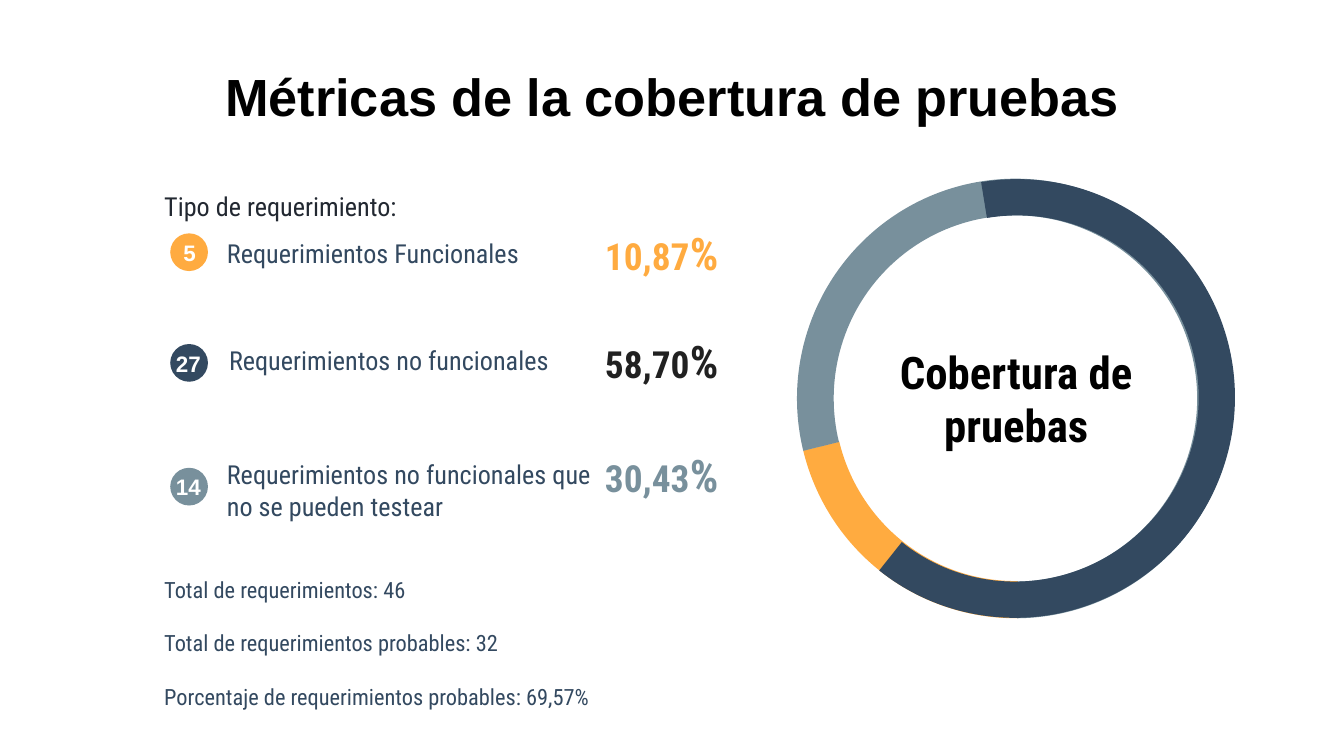
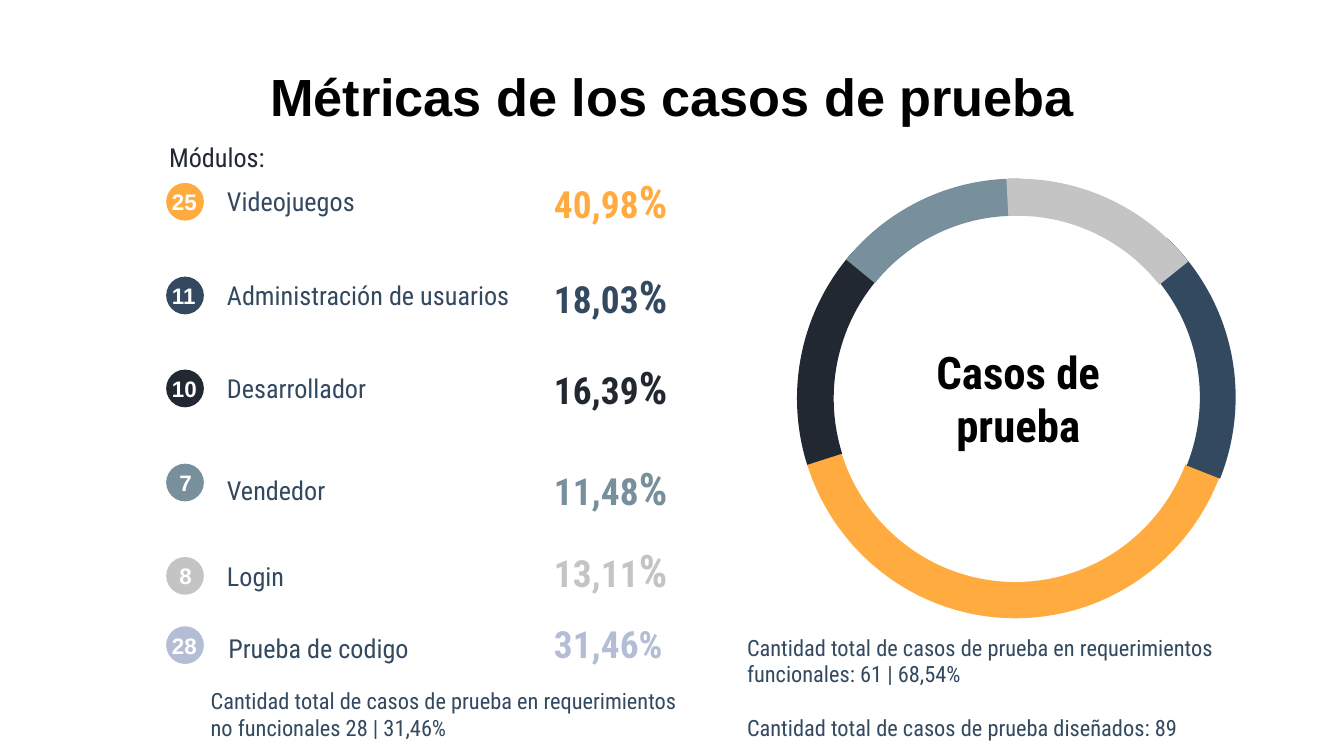
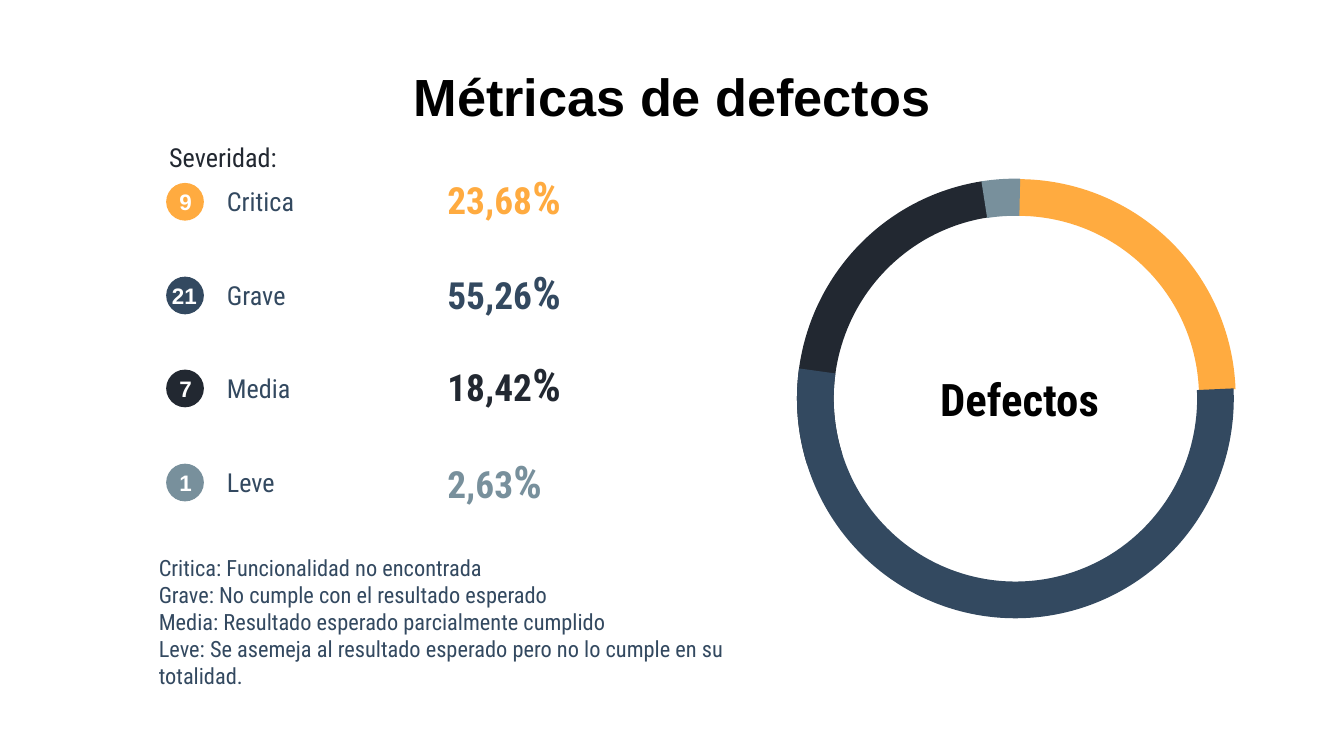
from dataclasses import dataclass

from pptx import Presentation
from pptx.dml.color import RGBColor
from pptx.enum.shapes import MSO_SHAPE as Preset
from pptx.enum.text import MSO_ANCHOR as Anchor, PP_ALIGN as Align
from pptx.util import Pt

# Shared style
BODY_FONT = "Roboto Condensed"
TITLE_FONT = "Arial"
ORANGE, NAVY, SLATE = "FFAB40", "334960", "78909C"
INK, CHARCOAL, SILVER, LAVENDER = "222831", "212121", "C4C4C4", "B3BDD5"
BLACK, WHITE = "000000", "FFFFFF"
INSET = 7.2
BADGE_SIZE = 20.2
SHARE_SIZE = (88, 20.5)
RING_TOP, RING_WIDTH, RING_HEIGHT = 96.5, 235.5, 234
CENTRE_SIZE = (155, 73.5)


@dataclass
class Entry:
    """One row: counted badge, label and percentage."""
    count: str
    label: str
    share: str
    colour: str
    badge_top: float
    label_top: float
    label_height: float
    share_top: float
    label_left: float = 114.5
    share_colour: str = ""
    sign_size: int = 24


@dataclass
class Arc:
    """One ring segment, with angles in degrees and thickness as a ratio."""
    colour: str
    start: float
    end: float
    thickness: float = 0.084
    rotation: float = 90
    left: float = 426.2


def paint(colour_format, colour):
    colour_format.rgb = RGBColor.from_string(colour)


def style(span, size, colour, bold=False, font=BODY_FONT):
    span.font.name = font
    span.font.size = Pt(size)
    span.font.bold = bold
    paint(span.font.color, colour)


def add_text(page, area, lines, size, colour, bold=False, font=BODY_FONT,
             align=Align.LEFT, anchor=Anchor.MIDDLE, margins=(INSET,) * 4, gap=0):
    box = page.shapes.add_textbox(*(Pt(length) for length in area))
    frame = box.text_frame
    frame.word_wrap = True
    frame.vertical_anchor = anchor
    (frame.margin_left, frame.margin_top,
     frame.margin_right, frame.margin_bottom) = (Pt(margin) for margin in margins)
    frame.text = "\n".join(lines)
    for index, para in enumerate(frame.paragraphs):
        para.alignment = align
        para.space_before = Pt(gap if index else 0)
        for span in para.runs:
            style(span, size, colour, bold, font)
    return box


def add_solid(page, preset, area, colour):
    shape = page.shapes.add_shape(preset, *(Pt(length) for length in area))
    shape.shadow.inherit = False
    shape.fill.solid()
    paint(shape.fill.fore_color, colour)
    shape.line.fill.background()
    return shape


def add_ring(page, arcs, caption, caption_left):
    for arc in arcs:
        area = (arc.left, RING_TOP, RING_WIDTH, RING_HEIGHT)
        segment = add_solid(page, Preset.BLOCK_ARC, area, arc.colour)
        segment.rotation = arc.rotation
        # Angles are stored in 60000ths of a degree, adjustments in 100000ths
        segment.adjustments[0] = arc.start * 0.6
        segment.adjustments[1] = arc.end * 0.6
        segment.adjustments[2] = arc.thickness
    add_text(page, (caption_left, 176.5, *CENTRE_SIZE), [caption], 24, BLACK,
             bold=True, align=Align.CENTER)


def add_badge(page, left, top, count, colour):
    add_solid(page, Preset.OVAL, (left, top, BADGE_SIZE, BADGE_SIZE), colour)
    shift, width = (4, 28) if len(count) > 1 else (0, 21)
    add_text(page, (left - shift, top - 0.5, width, 21.5), [count], 12, WHITE,
             bold=True, font=TITLE_FONT, anchor=Anchor.TOP,
             margins=(INSET, 3.6, 0, 3.6))


def add_share(page, left, entry):
    colour = entry.share_colour or entry.colour
    box = add_text(page, (left, entry.share_top, *SHARE_SIZE), [entry.share],
                   20, colour, bold=True)
    sign = box.text_frame.paragraphs[0].add_run()
    sign.text = "%"
    style(sign, entry.sign_size, colour, bold=True)


def add_entries(page, entries, badge_left, share_left):
    for entry in entries:
        add_badge(page, badge_left, entry.badge_top, entry.count, entry.colour)
        width = 210 if entry.label_height > 30 else 197.5
        add_text(page, (entry.label_left, entry.label_top, width, entry.label_height),
                 [entry.label], 14, NAVY)
        add_share(page, share_left, entry)


def add_page(deck, title, heading, heading_left, heading_top):
    page = deck.slides.add_slide(deck.slide_layouts[6])
    page.background.fill.solid()
    paint(page.background.fill.fore_color, WHITE)
    add_text(page, (39.6, 36, 640.8, 31), [title], 28, BLACK, bold=True,
             font=TITLE_FONT, align=Align.CENTER)
    add_text(page, (heading_left, heading_top, 197.5, 29.5), [heading], 14, INK)
    return page


def add_coverage(deck):
    page = add_page(deck, "Métricas de la cobertura de pruebas",
                    "Tipo de requerimiento:", 80.9, 95.8)
    add_ring(page, [
        Arc(ORANGE, 359.21, 76.21, 0.085),
        Arc(SLATE, 76.14, 359.56),
        Arc(NAVY, 316.42, 184.12, 0.083, 304.4, 426.6),
    ], "Cobertura de pruebas", 466.9)
    add_entries(page, [
        Entry("5", "Requerimientos Funcionales", "10,87", ORANGE,
              125, 121, 29.5, 125.3),
        Entry("27", "Requerimientos no funcionales", "58,70", NAVY,
              184.3, 183, 20, 182.9, label_left=115.6, share_colour=CHARCOAL),
        Entry("14", "Requerimientos no funcionales que no se pueden testear", "30,43",
              SLATE, 250.6, 239.8, 45.4, 244.2),
    ], 91.2, 317)
    add_text(page, (80.9, 321.8, 287.3, 45.4), [
        "Total de requerimientos: 46",
        "Total de requerimientos probables: 32",
        "Porcentaje de requerimientos probables: 69,57%",
    ], 12, NAVY, gap=14.4)


def add_test_cases(deck):
    page = add_page(deck, "Métricas de los casos de prueba", "Módulos:", 83.5, 69.4)
    add_ring(page, [
        Arc(ORANGE, 291.15, 72.32, 0.083),
        Arc(INK, 72.32, 132.04),
        Arc(NAVY, 8.78, 77.12, 0.082, 304.4, 427),
        Arc(SLATE, 129.38, 181.25, 0.085),
        Arc(SILVER, 177.12, 231.27, 0.085, left=427.3),
    ], "Casos de prueba", 468)
    add_entries(page, [
        Entry("25", "Videojuegos", "40,98", ORANGE, 98, 93, 29.5, 97.2),
        Entry("11", "Administración de usuarios", "18,03", NAVY,
              148.2, 143.3, 29.5, 147.9),
        Entry("10", "Desarrollador", "16,39", INK, 198, 198, 20, 196.6),
        Entry("7", "Vendedor", "11,48", SLATE, 248.4, 239.8, 45.4, 250.9),
        Entry("8", "Login", "13,11", SILVER, 298.4, 293.8, 29.5, 294.8),
        Entry("28", "Prueba de codigo", "31,46", LAVENDER,
              335.5, 332.6, 29.5, 334.3, label_left=115.2, sign_size=20),
    ], 89, 289.7)
    add_text(page, (393.1, 345.6, 287.3, 45.4), [
        "Cantidad total de casos de prueba en requerimientos funcionales: 61 | 68,54%",
        "Cantidad total de casos de prueba diseñados: 89",
    ], 12, NAVY, gap=14.4)
    add_text(page, (105.8, 364.7, 271.5, 53.3), [
        "Cantidad total de casos de prueba en requerimientos no funcionales 28 | 31,46%",
    ], 12, NAVY, anchor=Anchor.TOP, margins=(INSET, 3.6, INSET, 3.6))


def add_defects(deck):
    page = add_page(deck, "Métricas de defectos", "Severidad:", 83.5, 69.4)
    add_ring(page, [
        Arc(INK, 72.32, 171.3),
        Arc(ORANGE, 326.18, 53.15, rotation=304.4, left=427),
        Arc(NAVY, 267.35, 97.91),
        Arc(SLATE, 171.11, 181.25, 0.085),
    ], "Defectos", 468.7)
    add_entries(page, [
        Entry("9", "Critica", "23,68", ORANGE, 98, 93, 29.5, 95),
        Entry("21", "Grave", "55,26", NAVY, 148.2, 143.3, 29.5, 145.7),
        Entry("7", "Media", "18,42", INK, 198, 198, 20, 195),
        Entry("1", "Leve", "2,63", SLATE, 248.4, 235.5, 45.4, 247.3),
    ], 89, 232.6)
    add_text(page, (78, 310.3, 326.2, 45.4), [
        "Critica: Funcionalidad no encontrada",
        "Grave: No cumple con el resultado esperado",
        "Media: Resultado esperado parcialmente cumplido",
        "Leve: Se asemeja al resultado esperado pero no lo cumple en su totalidad.",
    ], 12, NAVY)


def main():
    deck = Presentation()
    deck.slide_width, deck.slide_height = Pt(720), Pt(405)
    add_coverage(deck)
    add_test_cases(deck)
    add_defects(deck)
    deck.save("out.pptx")


if __name__ == "__main__":
    main()
